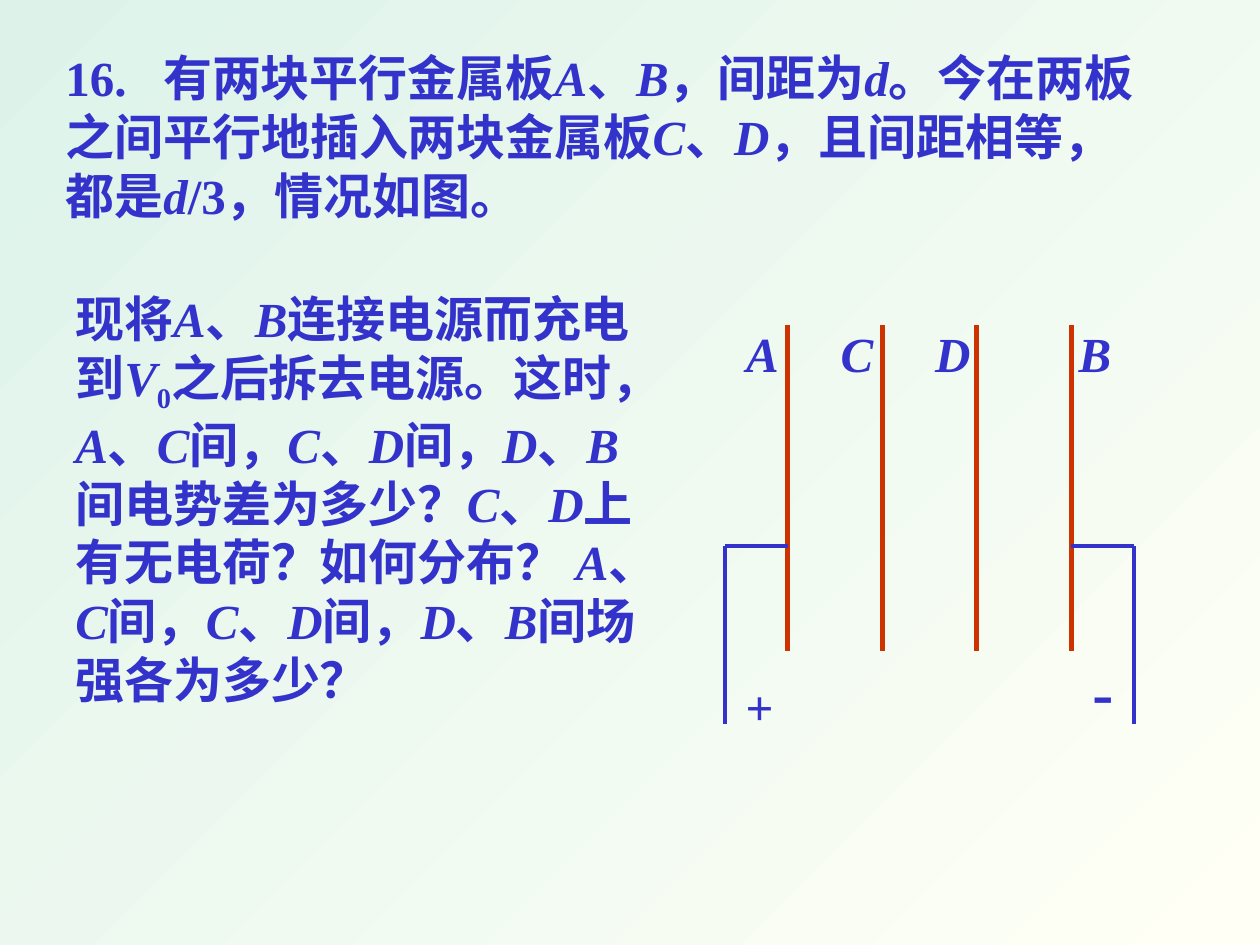
from lxml import etree
from pptx import Presentation
from pptx.dml.color import RGBColor
from pptx.enum.shapes import MSO_CONNECTOR
from pptx.enum.text import MSO_AUTO_SIZE
from pptx.oxml.ns import qn
from pptx.util import Cm, Pt

STRAIGHT = MSO_CONNECTOR.STRAIGHT
GROW = MSO_AUTO_SIZE.SHAPE_TO_FIT_TEXT

# Content: *italic*, _subscript_
PROBLEM = ("16.\t有两块平行金属板*A*、*B*，间距为*d*。今在两板之间平行地插入"
           "两块金属板*C*、*D*，且间距相等，都是*d*/3，情况如图。")
QUESTION = ("现将*A*、*B*连接电源而充电到*V*_0_之后拆去电源。这时，"
            "*A*、*C*间，*C*、*D*间，*D*、*B*间电势差为多少？"
            "*C*、*D*上有无电荷？如何分布？ "
            "*A*、*C*间，*C*、*D*间，*D*、*B*间场强各为多少？")
# Plate name, offset of its label from the plate (cm)
PLATES = [("A", -1.09), ("C", -1.09), ("D", -1.09), ("B", -0.1)]
# Terminal sign, left, top, width, height (cm), type size
TERMINALS = [("+", 14.78, 13.51, 1.07, 1.45, "text"),
             ("-", 21.77, 13.03, 0.94, 1.78, "minus")]


class Theme:
    font = "Times New Roman"
    ink = RGBColor(0x33, 0x33, 0xCC)
    plate = RGBColor(0xCC, 0x33, 0x00)
    backdrop = (RGBColor(0xDD, 0xF3, 0xEA), RGBColor(0xFF, 0xFF, 0xF5))
    sizes = {"text": Pt(28), "minus": Pt(36)}
    plate_width, wire_width = Pt(3), Pt(2.25)


# Diagram geometry (cm)
PLATE_LEFT, PLATE_GAP = 15.88, 1.905
PLATE_TOP, PLATE_BOTTOM = 6.56, 13.12
WIRE_TOP, WIRE_BOTTOM, WIRE_REACH = 11.0, 14.6, 1.27
LABEL_TOP, LABEL_WIDTH, LABEL_HEIGHT = 6.4, 1.18, 1.45


def add_text(shapes, text, left, top, width, height,
             size="text", wrap=True, tab=None):
    box = shapes.add_textbox(Cm(left), Cm(top), Cm(width), Cm(height))
    frame = box.text_frame
    frame.word_wrap = wrap
    frame.auto_size = GROW
    para = frame.paragraphs[0]
    if tab:
        tabs = etree.SubElement(para._p.get_or_add_pPr(), qn("a:tabLst"))
        etree.SubElement(tabs, qn("a:tab"), pos=str(Cm(tab)), algn="l")
    font = para.font
    font.name, font.size, font.bold = Theme.font, Theme.sizes[size], True
    font.color.rgb = Theme.ink
    for i, piece in enumerate(text.split("*")):
        for j, part in enumerate(piece.split("_")):
            if part:
                span = para.add_run()
                span.text = part
                if i % 2:
                    span.font.italic = True
                if j % 2:
                    span.font._element.set("baseline", "-25000")


def add_line(shapes, x1, y1, x2, y2, color, width):
    line = shapes.add_connector(STRAIGHT, Cm(x1), Cm(y1), Cm(x2), Cm(y2))
    line.line.color.rgb = color
    line.line.width = width
    etree.SubElement(line._element.spPr, qn("a:effectLst"))


def add_diagram(page):
    shapes = page.shapes.add_group_shape().shapes
    plate_xs = [PLATE_LEFT + i * PLATE_GAP for i in range(len(PLATES))]

    # Plates
    for x in plate_xs:
        add_line(shapes, x, PLATE_TOP, x, PLATE_BOTTOM,
                 Theme.plate, Theme.plate_width)

    # Wires from the outer plates
    for x, side in ((plate_xs[0], -1), (plate_xs[-1], 1)):
        end = x + side * WIRE_REACH
        for start, bottom in ((x, WIRE_TOP), (end, WIRE_BOTTOM)):
            add_line(shapes, start, bottom, end, WIRE_TOP,
                     Theme.ink, Theme.wire_width)

    # Terminal signs and plate names
    for sign, left, top, width, height, size in TERMINALS:
        add_text(shapes, sign, left, top, width, height, size, wrap=False)
    for x, (name, offset) in zip(plate_xs, PLATES):
        add_text(shapes, f"*{name}*", x + offset, LABEL_TOP,
                 LABEL_WIDTH, LABEL_HEIGHT, wrap=False)


def main():
    deck = Presentation()
    deck.slide_width, deck.slide_height = Cm(25.4), Cm(19.05)
    page = deck.slides.add_slide(deck.slide_layouts[6])

    # Diagonal gradient backdrop
    fill = page.background.fill
    fill.gradient()
    fill.gradient_angle = 315
    for stop, color, position in zip(fill.gradient_stops, Theme.backdrop, (0, 1)):
        stop.color.rgb = color
        stop.position = position

    add_text(page.shapes, PROBLEM, 1.07, 0.84, 22.28, 3.81, tab=1.97)
    add_diagram(page)
    add_text(page.shapes, QUESTION, 1.27, 5.69, 12.27, 8.56)
    deck.save("out.pptx")


if __name__ == "__main__":
    main()
